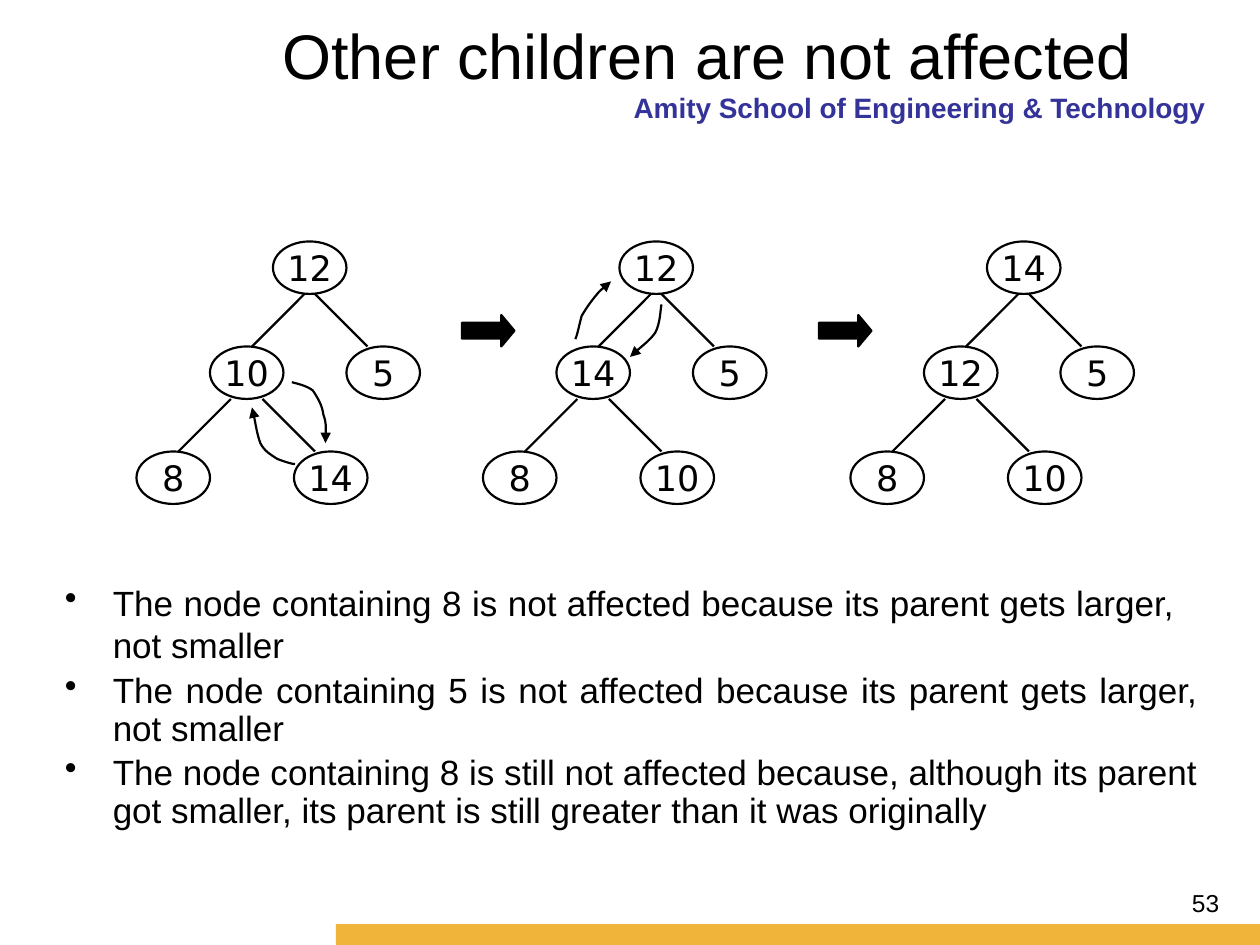
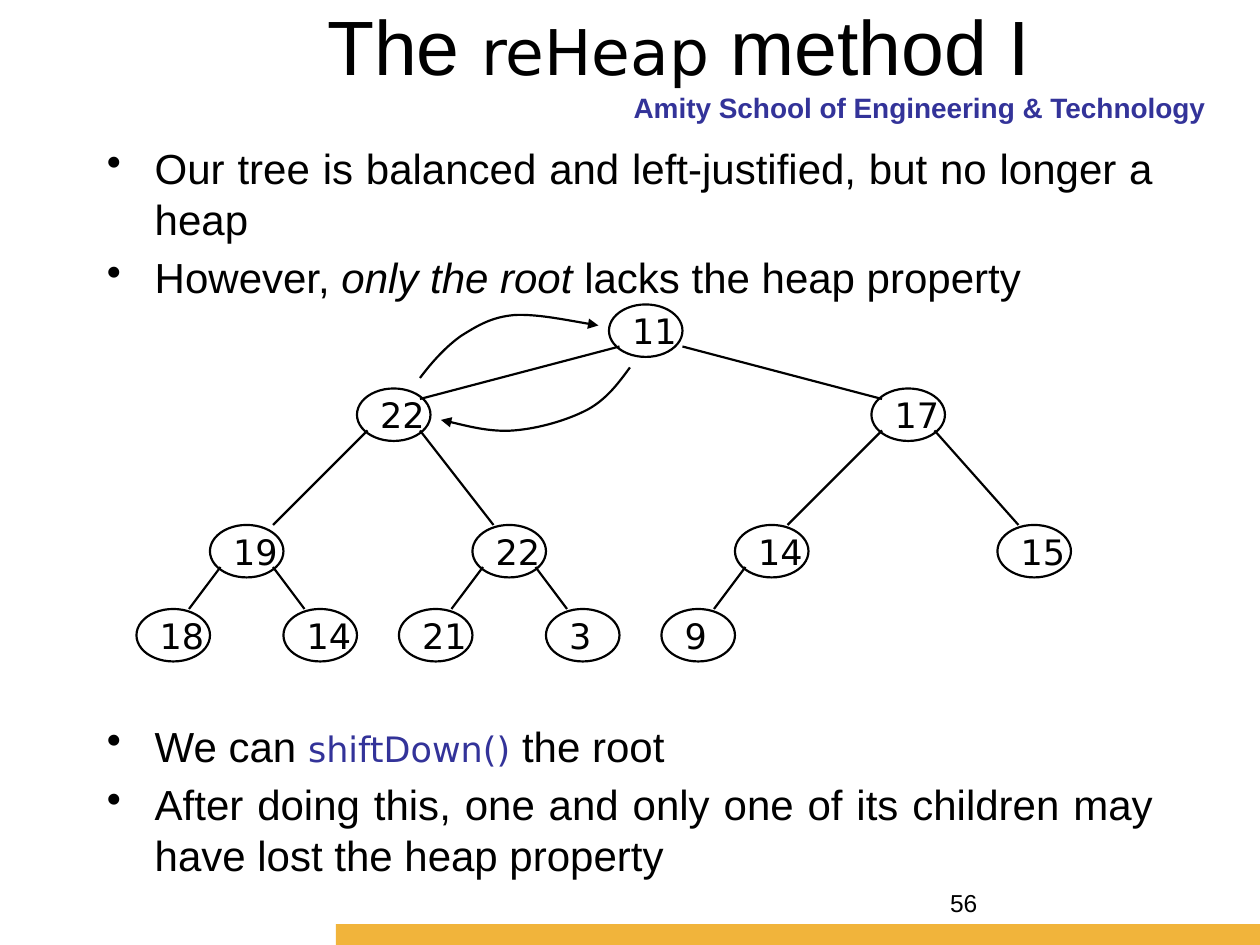
from lxml import etree
from pptx import Presentation
from pptx import util as u
from pptx.dml.color import RGBColor
from pptx.enum import shapes, text
from pptx.oxml import ns

BLACK = RGBColor(0x00, 0x00, 0x00)
NAVY = RGBColor(0x33, 0x33, 0x99)
AMBER = RGBColor(0xF1, 0xB4, 0x3B)
SANS, CODE = "Arial", "DejaVu Sans"
COLS, ROWS = 120, 90
WIDTH, HEIGHT = u.Inches(10), u.Inches(7.5)
CELL = WIDTH // COLS
NODE_W, NODE_H = 7, 5
LINE_WIDTH = u.Pt(1.25)
INDENT = u.Inches(0.38)
ALIGN = text.PP_ALIGN

SMALL_NODES = [(13, 0), (7, 10), (20, 10), (0, 20), (15, 20)]
SMALL_EDGES = [(16, 5, 11, 10), (17, 5, 22, 10), (9, 15, 4, 20), (12, 15, 17, 20)]
SMALL_TREES = [
    (13, (12, 10, 5, 8, 14)),
    (46, (12, 14, 5, 8, 10)),
    (81, (14, 12, 5, 8, 10)),
]
SMALL_SWAPS = [
    (13, [(15.1, 21.2), (14.8, 21.2), (13.9, 20.9), (13.4, 20.7), (12.8, 20.3),
          (12.2, 20), (11.8, 19.2), (11.5, 18.4), (11.2, 16.5), (11, 15.8)]),
    (13, [(14.8, 13.4), (15.1, 13.5), (16.2, 13.7), (16.8, 14.2), (17.2, 14.8),
          (17.7, 15.6), (17.8, 16.5), (18.1, 17.3), (18, 18.8), (18, 19.2)]),
    (46, [(8.8, 9.3), (9, 8.9), (9.2, 7.8), (9.4, 7.1), (9.8, 6.4),
          (10.3, 5.7), (10.8, 5.1), (11.2, 4.6), (12, 4), (12.2, 3.8)]),
    (46, [(17, 6), (16.9, 6.4), (16.9, 7.8), (16.4, 8.7), (15.9, 9.4),
          (14.5, 10.5), (14, 11)]),
]

HEAP_NODES = [(45, 0), (21, 8), (70, 8), (7, 21), (32, 21), (57, 21), (82, 21),
              (0, 29), (14, 29), (25, 29), (39, 29), (50, 29)]
HEAP_VALUES = (11, 22, 17, 19, 22, 14, 15, 18, 14, 21, 3, 9)
HEAP_EDGES = [
    (46, 4, 27, 9), (52, 4, 71, 9),
    (22, 12, 13, 21), (27, 12, 34, 21), (71, 12, 62, 21), (76, 12, 84, 21),
    (8, 25, 5, 29), (13, 25, 16, 29), (33, 25, 30, 29), (38, 25, 41, 29),
    (58, 25, 55, 29),
]
HEAP_SWAPS = [
    [(27, 7), (28.2, 5.4), (29.5, 4), (30.9, 3), (32.5, 2),
     (33.8, 1.2), (36, 1), (38.1, 0.9), (41, 1.5), (44, 2)],
    [(47, 6), (45.9, 7.5), (44.8, 9), (43, 10), (41.1, 11),
     (38.4, 11.8), (36, 12), (33.7, 12.2), (30, 11.2), (29, 11)],
]


def grid(*cells):
    return [round(c * CELL) for c in cells]


def write(p, runs, size, color=BLACK, align=ALIGN.LEFT, bold=None):
    p.alignment = align
    for run in [runs] if isinstance(runs, str) else runs:
        words, style = (run, {}) if isinstance(run, str) else run
        r = p.add_run()
        r.text = words
        r.font.name = style.get("font", SANS)
        r.font.size = u.Pt(style.get("size", size))
        r.font.color.rgb = style.get("color", color)
        r.font.italic = style.get("italic")
        r.font.bold = bold


def add_text(s, box):
    tf = s.shapes.add_textbox(*grid(*box)).text_frame
    tf.word_wrap = True
    return tf


def add_bullets(s, box, items, size, spacing=None):
    tf = add_text(s, box)
    for i, runs in enumerate(items):
        p = tf.add_paragraph() if i else tf.paragraphs[0]
        pPr = p._p.get_or_add_pPr()
        pPr.set("marL", str(INDENT))
        pPr.set("indent", str(-INDENT))
        etree.SubElement(pPr, ns.qn("a:buChar")).set("char", "•")
        write(p, runs, size, align=ALIGN.JUSTIFY)
        p.line_spacing = spacing
        if i:
            p.space_before = u.Pt(size * 0.2)


def outline(sp):
    sp.line.color.rgb = BLACK
    sp.line.width = LINE_WIDTH


def add_node(s, x, y, value, align):
    sp = s.shapes.add_shape(shapes.MSO_SHAPE.OVAL, *grid(x, y, NODE_W, NODE_H))
    sp.shadow.inherit = False
    sp.fill.background()
    outline(sp)
    tf = sp.text_frame
    tf.word_wrap = False
    tf.vertical_anchor = text.MSO_ANCHOR.MIDDLE
    write(tf.paragraphs[0], [(str(value), {"font": CODE})], 20, align=align)


def add_tree(s, left, top, nodes, values, edges, align):
    for (x, y), value in zip(nodes, values):
        add_node(s, left + x, top + y, value, align)
    for x1, y1, x2, y2 in edges:
        ends = grid(left + x1, top + y1, left + x2, top + y2)
        line = s.shapes.add_connector(shapes.MSO_CONNECTOR.STRAIGHT, *ends)
        outline(line)
        etree.SubElement(line._element.spPr, ns.qn("a:effectLst"))


def add_swap_arrow(s, left, top, points):
    start, *rest = [grid(left + x, top + y) for x, y in points]
    builder = s.shapes.build_freeform(*start)
    builder.add_line_segments(rest, close=False)
    sp = builder.convert_to_shape()
    sp.shadow.inherit = False
    sp.fill.background()
    outline(sp)
    segments = list(sp._element.iter(ns.qn("a:lnTo")))
    for i in range(0, len(segments), 3):
        curve = etree.Element(ns.qn("a:cubicBezTo"))
        segments[i].addprevious(curve)
        for segment in segments[i:i + 3]:
            curve.append(segment[0])
            segment.getparent().remove(segment)
    ln = sp.line._get_or_add_ln()
    etree.SubElement(ln, ns.qn("a:tailEnd")).set("type", "triangle")


def add_step_arrow(s, x, y):
    sp = s.shapes.add_shape(shapes.MSO_SHAPE.RIGHT_ARROW, *grid(x, y, 5, 3))
    sp.adjustments[1] = 0.417
    sp.shadow.inherit = False
    sp.fill.solid()
    sp.fill.fore_color.rgb = BLACK
    outline(sp)


def add_frame(s, number, align):
    write(add_text(s, (49, 8, 67, 4)).paragraphs[0],
          "Amity School of Engineering & Technology", 16, NAVY, ALIGN.RIGHT, True)
    band = s.shapes.add_shape(shapes.MSO_SHAPE.RECTANGLE, *grid(32, 88, 88, 2))
    band.shadow.inherit = False
    band.fill.solid()
    band.fill.fore_color.rgb = AMBER
    band.line.fill.background()
    write(add_text(s, (89.3, 84, 28, 6)).paragraphs[0], str(number), 14, align=align)


def add_title(s, box, runs, size, align, inset):
    sp = s.shapes.title
    sp.left, sp.top, sp.width, sp.height = grid(*box)
    tf = sp.text_frame
    tf.auto_size = text.MSO_AUTO_SIZE.NONE
    tf.vertical_anchor = text.MSO_ANCHOR.TOP
    tf.margin_left = u.Inches(inset)
    write(tf.paragraphs[0], runs, size, align=align)


def new_slide(prs, number, number_align):
    s = prs.slides.add_slide(prs.slide_layouts.get_by_name("Title Only"))
    add_frame(s, number, number_align)
    return s


def build_children_slide(prs):
    s = new_slide(prs, 53, ALIGN.RIGHT)
    add_title(s, (8.3, 1, 103.4, 17.4), "Other children are not affected",
              36, ALIGN.CENTER, 1.33)
    add_bullets(s, (5, 54.8, 108.1, 9.2), [
        "The node containing 8 is not affected because its parent gets larger, "
        "not smaller"], 20)
    add_bullets(s, (5, 63.5, 110.3, 16), [
        "The node containing 5 is not affected because its parent gets larger, "
        "not smaller",
        "The node containing 8 is still not affected because, although its parent "
        "got smaller, its parent is still greater than it was originally"], 20, 0.9)
    top = 23
    for left, values in SMALL_TREES:
        add_tree(s, left, top, SMALL_NODES, values, SMALL_EDGES, ALIGN.CENTER)
    for left, points in SMALL_SWAPS:
        add_swap_arrow(s, left, top, points)
    for x in (44, 78):
        add_step_arrow(s, x, top + 7)


def build_reheap_slide(prs):
    s = new_slide(prs, 56, ALIGN.LEFT)
    add_title(s, (8, -0.7, 103.4, 17.4),
              ["The ", ("reHeap", {"font": CODE, "size": 36}), " method I"],
              44, ALIGN.LEFT, 1.93)
    add_bullets(s, (9, 13, 102, 13), [
        "Our tree is balanced and left-justified, but no longer a heap",
        ["However, ", ("only the root", {"italic": True}),
         " lacks the heap property"]], 24)
    add_bullets(s, (9, 68, 102, 19), [
        ["We can ", ("shiftDown()", {"font": CODE, "size": 20, "color": NAVY}),
         " the root"],
        "After doing this, one and only one of its children may have lost "
        "the heap property"], 24)
    left, top = 13, 29
    add_tree(s, left, top, HEAP_NODES, HEAP_VALUES, HEAP_EDGES, ALIGN.JUSTIFY)
    for points in HEAP_SWAPS:
        add_swap_arrow(s, left, top, points)


def main():
    prs = Presentation()
    prs.slide_width, prs.slide_height = WIDTH, HEIGHT
    build_children_slide(prs)
    build_reheap_slide(prs)
    prs.save("out.pptx")


if __name__ == "__main__":
    main()
